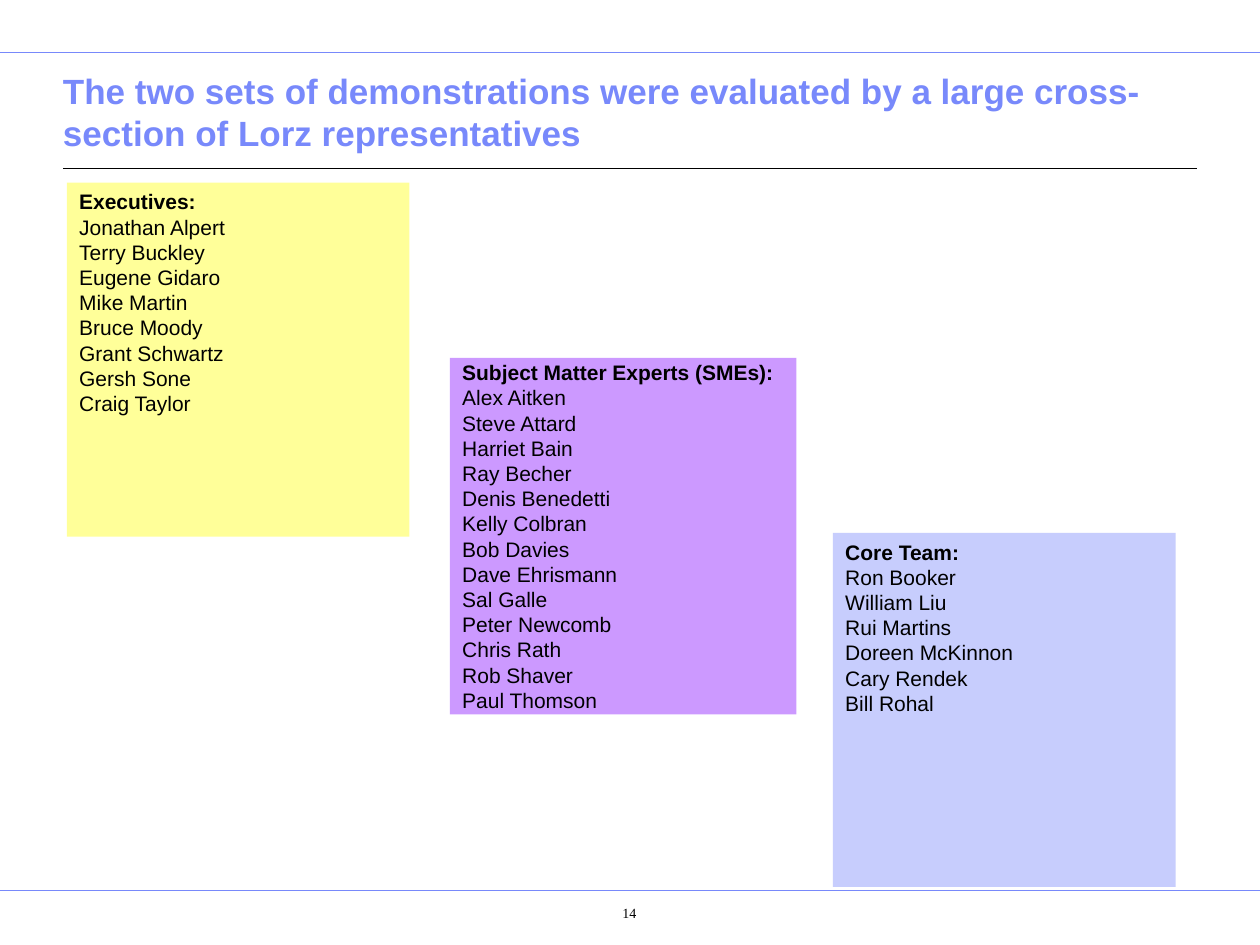
import pptx
import pptx.util
import pptx.dml.color
import pptx.enum.shapes
import pptx.enum.text
import pptx.oxml.ns
from lxml import etree

RGBColor = pptx.dml.color.RGBColor
Inches = pptx.util.Inches
Anchor = pptx.enum.text.MSO_ANCHOR
Align = pptx.enum.text.PP_ALIGN

BLACK = RGBColor(0x00, 0x00, 0x00)
PERIWINKLE = RGBColor(0x78, 0x89, 0xFB)
YELLOW = RGBColor(0xFF, 0xFF, 0x99)
PURPLE = RGBColor(0xCC, 0x99, 0xFF)
LAVENDER = RGBColor(0xC7, 0xCD, 0xFD)

WIDTH, HEIGHT = 10, 7.5
MARGIN = 0.5
# The cards step down the slide from left to right
CARD_LEFT, CARD_TOP = 0.53, 1.45
COLUMN_STEP, ROW_STEP = 3.04, 1.39

# Heading, fill, width, height, anchor, names
GROUPS = [
    ("Executives:", YELLOW, 2.72, 2.81, Anchor.TOP,
     ["Jonathan Alpert", "Terry Buckley", "Eugene Gidaro", "Mike Martin",
      "Bruce Moody", "Grant Schwartz", "Gersh Sone", "Craig Taylor"]),
    ("Subject Matter Experts (SMEs):", PURPLE, 2.75, 2.83, Anchor.MIDDLE,
     ["Alex Aitken", "Steve Attard", "Harriet Bain", "Ray Becher",
      "Denis Benedetti", "Kelly Colbran", "Bob Davies", "Dave Ehrismann",
      "Sal Galle", "Peter Newcomb", "Chris Rath", "Rob Shaver",
      "Paul Thomson"]),
    ("Core Team:", LAVENDER, 2.72, 2.81, Anchor.TOP,
     ["Ron Booker", "William Liu", "Rui Martins", "Doreen McKinnon",
      "Cary Rendek", "Bill Rohal"]),
]


def add_rule(page, left, right, y, color, weight):
    rule = page.shapes.add_connector(
        pptx.enum.shapes.MSO_CONNECTOR.STRAIGHT,
        Inches(left), Inches(y), Inches(right), Inches(y))
    rule.line.color.rgb = color
    rule.line.width = pptx.util.Pt(weight)
    etree.SubElement(rule._element.spPr, pptx.oxml.ns.qn("a:effectLst"))


def set_frame(box, anchor, insets):
    frame = box.text_frame
    frame.word_wrap = True
    frame.vertical_anchor = anchor
    (frame.margin_left, frame.margin_top,
     frame.margin_right, frame.margin_bottom) = map(Inches, insets)
    return frame


def add_span(para, text, size, color=BLACK, bold=False, font="Arial"):
    span = para.add_run()
    span.text = text
    span.font.name = font
    span.font.size = pptx.util.Pt(size)
    span.font.bold = bold
    span.font.color.rgb = color


def add_text(page, place, anchor, insets, align, text, **style):
    box = page.shapes.add_textbox(*map(Inches, place))
    para = set_frame(box, anchor, insets).paragraphs[0]
    para.alignment = align
    add_span(para, text, **style)


def add_card(page, step, heading, fill, width, height, anchor, names):
    box = page.shapes.add_shape(
        pptx.enum.shapes.MSO_SHAPE.RECTANGLE,
        Inches(CARD_LEFT + step * COLUMN_STEP),
        Inches(CARD_TOP + step * ROW_STEP),
        Inches(width), Inches(height))
    box.shadow.inherit = False
    box.fill.solid()
    box.fill.fore_color.rgb = fill
    box.line.fill.background()
    frame = set_frame(box, anchor, (0.1, 0.05, 0.1, 0.05))
    for row, text in enumerate([heading] + names):
        para = frame.add_paragraph() if row else frame.paragraphs[0]
        para.alignment = Align.LEFT
        add_span(para, text, 12, bold=row == 0)


def main():
    deck = pptx.Presentation()
    deck.slide_width, deck.slide_height = Inches(WIDTH), Inches(HEIGHT)
    page = deck.slides.add_slide(deck.slide_layouts[6])

    # Header and footer rules, and the rule under the title
    for y in (0.42, 7.07):
        add_rule(page, 0, WIDTH, y, PERIWINKLE, 0.5)
    add_rule(page, MARGIN, WIDTH - MARGIN, 1.34, BLACK, 0.75)

    # Title
    add_text(page, (MARGIN, 0.64, WIDTH - 2 * MARGIN, 0.63), Anchor.BOTTOM,
             (0, 0.05, 0, 0.05), Align.LEFT,
             "The two sets of demonstrations were evaluated by a large "
             "cross-section of Lorz representatives",
             size=20, color=PERIWINKLE, bold=True)

    # Evaluator groups
    for step, group in enumerate(GROUPS):
        add_card(page, step, *group)

    # Page number
    add_text(page, (4.27, 7.11, 1.15, 0.35), Anchor.TOP,
             (0.4, 0.07, 0.1, 0.05), Align.CENTER, "14",
             size=8, font="Times New Roman")

    deck.save("out.pptx")


if __name__ == "__main__":
    main()
